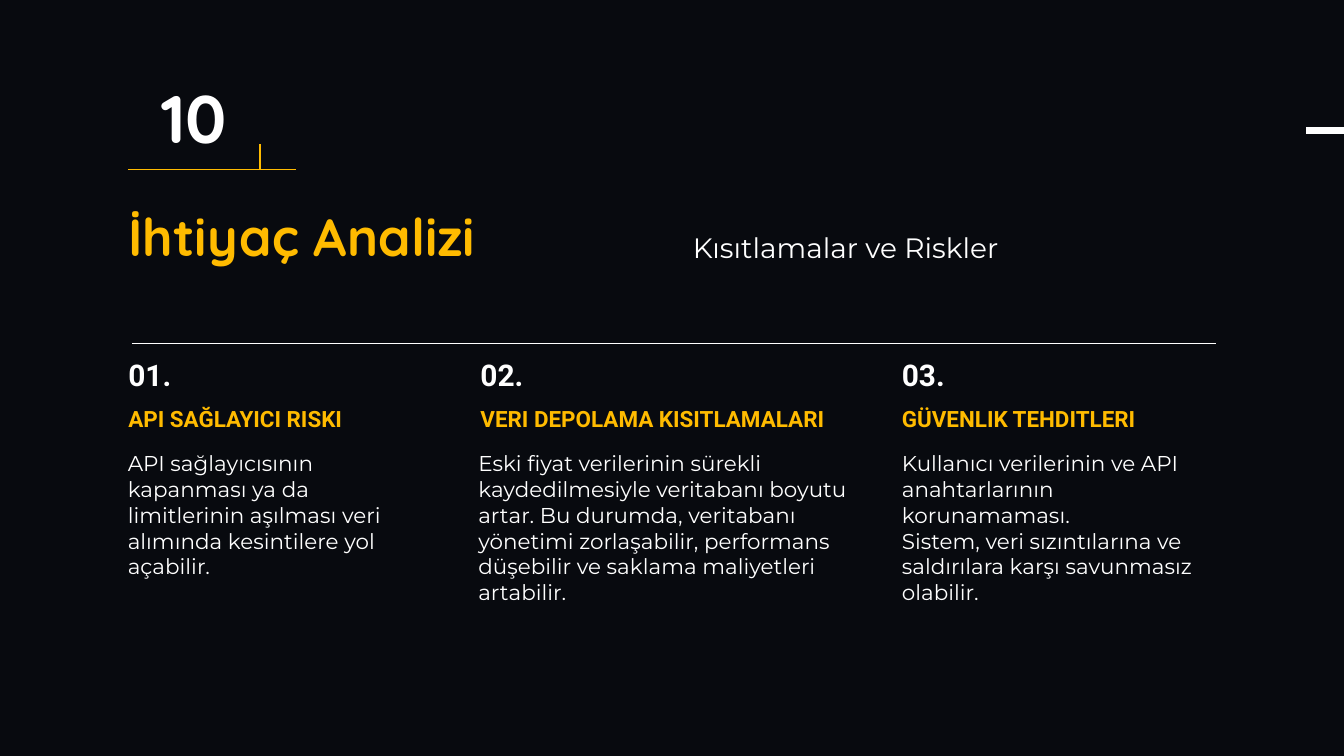
"""Build the slide on constraints and risks of the needs analysis."""
from dataclasses import dataclass

from lxml.etree import SubElement
from pptx import Presentation
from pptx.dml.color import RGBColor
from pptx.enum.shapes import MSO_CONNECTOR
from pptx.enum.text import MSO_AUTO_SIZE, PP_ALIGN
from pptx.oxml.ns import qn
from pptx.slide import Slide
from pptx.util import Cm, Pt

BACKGROUND, WHITE, AMBER = "080A0F", "FFFFFF", "FFBB00"
LEFT = 4.85
NUMBER_TOP, HEADING_TOP, BODY_TOP = 13.69, 15.47, 17.02


@dataclass(frozen=True)
class TextStyle:
    """Font, colour and exact line spacing of a kind of text."""

    name: str
    size: float
    color: str
    spacing: float
    bold: bool = False
    align: PP_ALIGN = PP_ALIGN.LEFT


@dataclass(frozen=True)
class Box:
    """Place and size in centimetres."""

    left: float
    top: float
    width: float
    height: float


@dataclass(frozen=True)
class Rule:
    """Straight line in centimetres, with its weight in points."""

    start: tuple[float, float]
    end: tuple[float, float]
    color: str
    weight: float = 1.5


@dataclass(frozen=True)
class Risk:
    """One numbered column of the slide."""

    left: float
    heading: str
    heading_width: float
    body: str
    body_left: float
    body_width: float
    body_height: float


PAGE_NUMBER = TextStyle("Quicksand", 72, WHITE, 72, True, PP_ALIGN.CENTER)
TITLE = TextStyle("Quicksand", 56, AMBER, 56, True)
SUBTITLE = TextStyle("Montserrat", 30, WHITE, 36)
NUMBER = TextStyle("Roboto", 32, WHITE, 32, True)
HEADING = TextStyle("Roboto", 24, AMBER, 24, True)
BODY = TextStyle("Montserrat", 23, WHITE, 27.6)

RULES = (
    Rule((9.83, 5.46), (9.83, 6.4), AMBER),
    Rule((LEFT, 6.4), (11.2, 6.4), AMBER),
    Rule((4.98, 12.98), (45.95, 12.98), WHITE),
    Rule((49.38, 4.93), (51.05, 4.93), WHITE, 7.5),
)

RISKS = (
    Risk(LEFT, "API SAĞLAYICI RISKI", 11.84,
         "API sağlayıcısının kapanması ya da limitlerinin aşılması veri "
         "alımında kesintilere yol açabilir.",
         4.83, 11.28, 3.81),
    Risk(18.16, "VERI DEPOLAMA KISITLAMALARI", 14.05,
         "Eski fiyat verilerinin sürekli kaydedilmesiyle veritabanı boyutu "
         "artar. Bu durumda, veritabanı yönetimi zorlaşabilir, performans "
         "düşebilir ve saklama maliyetleri artabilir.",
         18.08, 14.12, 5.72),
    Risk(34.09, "GÜVENLIK TEHDITLERI", 12.07,
         "Kullanıcı verilerinin ve API anahtarlarının korunamaması.\n"
         "Sistem, veri sızıntılarına ve saldırılara karşı savunmasız olabilir.",
         34.09, 12.07, 4.78),
)


def hex_color(value: str) -> RGBColor:
    """Turn a hex string into a colour."""
    return RGBColor.from_string(value)


def set_attributes(target: object, values: dict[str, object]) -> None:
    """Set each named value on the target."""
    for name, value in values.items():
        setattr(target, name, value)


def add_text(slide: Slide, text: str, box: Box, style: TextStyle) -> None:
    """Add a text box with one paragraph for each line of the text."""
    shape = slide.shapes.add_textbox(
        Cm(box.left), Cm(box.top), Cm(box.width), Cm(box.height))
    frame = shape.text_frame
    set_attributes(frame, {
        "word_wrap": True, "auto_size": MSO_AUTO_SIZE.SHAPE_TO_FIT_TEXT,
        "margin_left": 0, "margin_top": 0,
        "margin_right": 0, "margin_bottom": 0, "text": text,
    })
    for paragraph in frame.paragraphs:
        set_attributes(paragraph, {
            "alignment": style.align, "line_spacing": Pt(style.spacing)})
        for run in paragraph.runs:
            set_attributes(run.font, {
                "name": style.name, "size": Pt(style.size), "bold": style.bold})
            run.font.color.rgb = hex_color(style.color)


def add_rule(slide: Slide, rule: Rule) -> None:
    """Add a straight line without a shadow."""
    connector = slide.shapes.add_connector(
        MSO_CONNECTOR.STRAIGHT, *map(Cm, rule.start + rule.end))
    connector.line.width = Pt(rule.weight)
    connector.line.color.rgb = hex_color(rule.color)
    SubElement(connector._element.spPr, qn("a:effectLst"))


def add_risk(slide: Slide, number: int, risk: Risk) -> None:
    """Add the number, heading and body of one column."""
    add_text(slide, f"{number:02d}.",
             Box(risk.left, NUMBER_TOP, 2.11, 1.27), NUMBER)
    add_text(slide, risk.heading,
             Box(risk.left, HEADING_TOP, risk.heading_width, 0.94), HEADING)
    add_text(slide, risk.body,
             Box(risk.body_left, BODY_TOP, risk.body_width, risk.body_height),
             BODY)


def main() -> None:
    """Build and save the presentation."""
    presentation = Presentation()
    set_attributes(presentation, {
        "slide_width": Cm(50.8), "slide_height": Cm(28.575)})
    slide = presentation.slides.add_slide(presentation.slide_layouts[6])
    slide.background.fill.solid()
    slide.background.fill.fore_color.rgb = hex_color(BACKGROUND)

    add_text(slide, "10", Box(LEFT, 3.38, 4.98, 3.07), PAGE_NUMBER)
    add_text(slide, "İhtiyaç Analizi", Box(LEFT, 8.13, 14.6, 2.39), TITLE)
    add_text(slide, "Kısıtlamalar ve Riskler",
             Box(26.19, 8.71, 14.2, 1.24), SUBTITLE)
    for rule in RULES:
        add_rule(slide, rule)
    for number, risk in enumerate(RISKS, start=1):
        add_risk(slide, number, risk)
    presentation.save("out.pptx")


if __name__ == "__main__":
    main()
